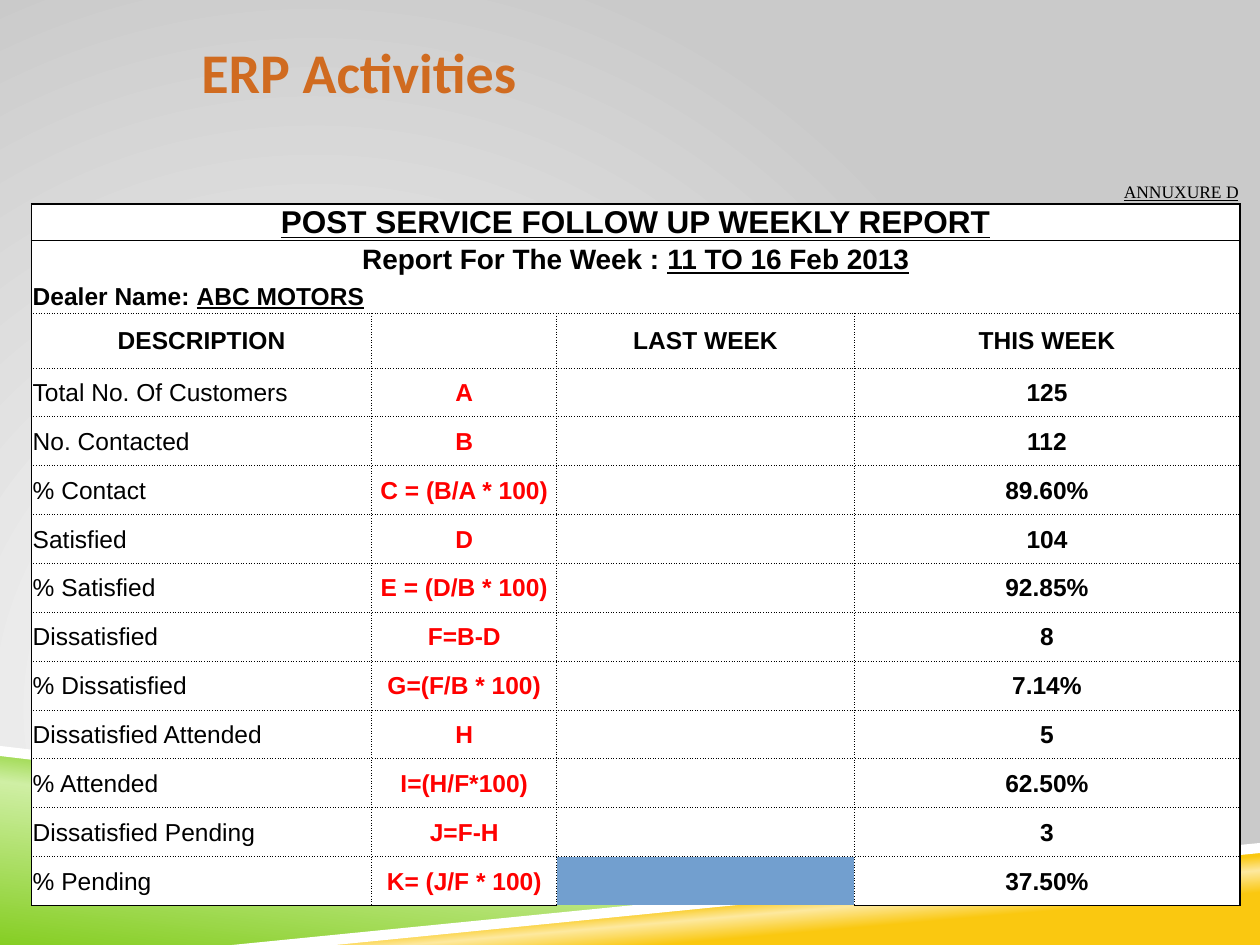
from typing import NamedTuple

from lxml.etree import SubElement as Sub
from pptx import Presentation
from pptx.dml.color import RGBColor
from pptx.enum.text import MSO_ANCHOR as Anchor, PP_ALIGN as Align
from pptx.oxml.ns import qn
from pptx.util import Inches, Pt

BLACK = RGBColor(0, 0, 0)
WHITE = RGBColor(255, 255, 255)
RED = RGBColor(255, 0, 0)
RUST = RGBColor(0xD0, 0x6B, 0x20)
GRAY = RGBColor(0xCA, 0xCA, 0xCA)
GREEN = RGBColor(0x86, 0xCE, 0x24)
LIME = RGBColor(0xCF, 0xEF, 0xA4)
GOLD = RGBColor(0xFA, 0xC8, 0x10)
CREAM = RGBColor(0xFD, 0xE9, 0x9F)
NO_STYLE = "{2D5ABB26-0587-4C30-8999-92F81FD0307C}"


class Band(NamedTuple):
    points: list
    stops: list
    angle: int = 0


class Text(NamedTuple):
    plain: str = ""
    lined: str = ""
    size: int = 14
    align: Align = Align.CENTER
    bold: bool = True
    color: RGBColor = BLACK
    face: str = "Arial"


class Metric(NamedTuple):
    label: str
    rule: str
    value: str


BANDS = [
    Band([(0, 5.97), (7.92, 6.92), (2, 7.5), (0, 7.5)],
         [(0, GREEN), (52, LIME), (66, GREEN)], 277),
    Band([(1.98, 7.5), (10, 6.72), (10, 7.5)],
         [(28, GOLD), (40, CREAM), (48, GOLD)], 265),
    Band([(0, 5.92), (0, 6), (7.9, 6.93), (8.32, 6.9)], []),
    Band([(10, 6.69), (1.84, 7.5), (2.66, 7.5), (10, 6.77)], []),
]
METRICS = [
    Metric("Total No. Of Customers", "A", "125"),
    Metric("No. Contacted", "B", "112"),
    Metric("% Contact", "C = (B/A * 100)", "89.60%"),
    Metric("Satisfied", "D", "104"),
    Metric("% Satisfied", "E = (D/B * 100)", "92.85%"),
    Metric("Dissatisfied", "F=B-D", "8"),
    Metric("% Dissatisfied", "G=(F/B * 100)", "7.14%"),
    Metric("Dissatisfied Attended", "H", "5"),
    Metric("% Attended", "I=(H/F*100)", "62.50%"),
    Metric("Dissatisfied Pending", "J=F-H", "3"),
    Metric("% Pending", "K= (J/F * 100)", "37.50%"),
]
HEAD = {
    (0, 4): Text(lined="ANNUXURE D", size=10, align=Align.RIGHT, bold=False,
                 face="Times New Roman"),
    (1, 0): Text(lined="POST SERVICE FOLLOW UP WEEKLY REPORT", size=18),
    (2, 0): Text("Report For The Week : ", "11 TO 16 Feb 2013", 16),
    (3, 0): Text("Dealer Name: ", "ABC MOTORS", align=Align.LEFT),
    (4, 0): Text("DESCRIPTION"),
    (4, 3): Text("LAST WEEK"),
    (4, 4): Text("THIS WEEK"),
}
COLS = [2.7, 1.35, 0.12, 2.36, 3.06]
ROWS = [0.2, 0.28, 0.3, 0.28, 0.43] + [4.27 / len(METRICS)] * len(METRICS)
LAST = len(ROWS) - 1
EMPTY = Text(size=10)


def shade(fill, root, stops: list):
    fill.gradient()
    grad = next(root.iter(qn("a:gradFill")))
    for child in list(grad):
        grad.remove(child)
    group = Sub(grad, qn("a:gsLst"))
    for spot, color in stops:
        stop = Sub(group, qn("a:gs"), pos=str(spot * 1000))
        Sub(stop, qn("a:srgbClr"), val=str(color))
    return grad


def backdrop(slide) -> None:
    grad = shade(slide.background.fill, slide.element, [(0, WHITE), (100, GRAY)])
    ring = Sub(grad, qn("a:path"), path="circle")
    Sub(ring, qn("a:fillToRect"), l="50000", t="100000", r="100000", b="50000")


def draw_band(slide, band: Band) -> None:
    spots = [(Inches(x), Inches(y)) for x, y in band.points]
    pen = slide.shapes.build_freeform(*spots[0])
    pen.add_line_segments(spots[1:], close=True)
    shape = pen.convert_to_shape()
    shape.shadow.inherit = False
    shape.line.fill.background()
    if band.stops:
        grad = shade(shape.fill, shape.element, band.stops)
        Sub(grad, qn("a:lin"), ang=str(band.angle * 60000), scaled="0")
    else:
        shape.fill.solid()
        shape.fill.fore_color.rgb = WHITE


def write(frame, text: Text) -> None:
    para = frame.paragraphs[0]
    para.alignment = text.align
    font = para.font
    font.name, font.size, font.bold = text.face, Pt(text.size), text.bold
    font.color.rgb = text.color
    for words, lined in ((text.plain, False), (text.lined, True)):
        if words:
            run = para.add_run()
            run.text = words
            run.font.underline = lined
    if not para.runs:
        Sub(para._p, qn("a:endParaRPr"), sz=str(text.size * 100))


def edges(row: int, col: int, end: int) -> dict:
    if row == 0:
        return {"B": "solid"}
    found = {}
    if row > 3:
        found = dict.fromkeys("LRTB", "sysDot")
    if row == 3:
        found["B"] = "sysDot"
    outer = {"L": col == 0, "R": end == 4, "T": row == 1, "B": row == LAST}
    found.update({side: "solid" for side, hit in outer.items() if hit})
    return found


def rule_off(cell, sides: dict) -> None:
    props = cell._tc.get_or_add_tcPr()
    lines = [side for side in "LRTB" if side in sides]
    for spot, side in enumerate(lines):
        width = Pt(1) if sides[side] == "solid" else Pt(0.5)
        line = Sub(props, qn(f"a:ln{side}"), w=str(width))
        Sub(Sub(line, qn("a:solidFill")), qn("a:srgbClr"), val=str(BLACK))
        Sub(line, qn("a:prstDash"), val=sides[side])
        props.insert(spot, line)


def texts() -> dict:
    found = dict(HEAD)
    for row, item in enumerate(METRICS, 5):
        found[row, 0] = Text(item.label, align=Align.LEFT, bold=False)
        found[row, 1] = Text(item.rule, color=RED)
        found[row, 4] = Text(item.value)
    return found


def report(slide) -> None:
    frame = slide.shapes.add_table(len(ROWS), len(COLS), Inches(0.25), Inches(1.42),
                                   Inches(sum(COLS)), Inches(sum(ROWS)))
    table = frame.table
    table.first_row = table.horz_banding = False
    next(table._tbl.iter(qn("a:tableStyleId"))).text = NO_STYLE
    for col, width in zip(table.columns, COLS):
        col.width = Inches(width)
    for line, height in zip(table.rows, ROWS):
        line.height = Inches(height)
    words = texts()
    for row in range(len(ROWS)):
        start, end = (0, 4) if row in (1, 2) else (1, 2)
        table.cell(row, start).merge(table.cell(row, end))
        for col in range(len(COLS)):
            cell = table.cell(row, col)
            cell.margin_left = cell.margin_right = cell.margin_top = Inches(0.01)
            cell.margin_bottom = 0
            cell.vertical_anchor = Anchor.MIDDLE
            write(cell.text_frame, words.get((row, col), EMPTY))
            if row:
                cell.fill.solid()
                cell.fill.fore_color.rgb = WHITE
            else:
                cell.fill.background()
            last = end if cell.is_merge_origin else col
            rule_off(cell, edges(row, col, last))


def main() -> None:
    deck = Presentation()
    deck.slide_width, deck.slide_height = Inches(10), Inches(7.5)
    slide = deck.slides.add_slide(deck.slide_layouts[6])
    backdrop(slide)
    for band in BANDS:
        draw_band(slide, band)
    report(slide)
    box = slide.shapes.add_textbox(Inches(1.5), Inches(0.25), Inches(4.42), Inches(0.67))
    box.text_frame.word_wrap = True
    write(box.text_frame, Text("ERP Activities", size=32, align=Align.LEFT,
                               color=RUST, face="Calibri"))
    deck.save("out.pptx")


if __name__ == "__main__":
    main()
